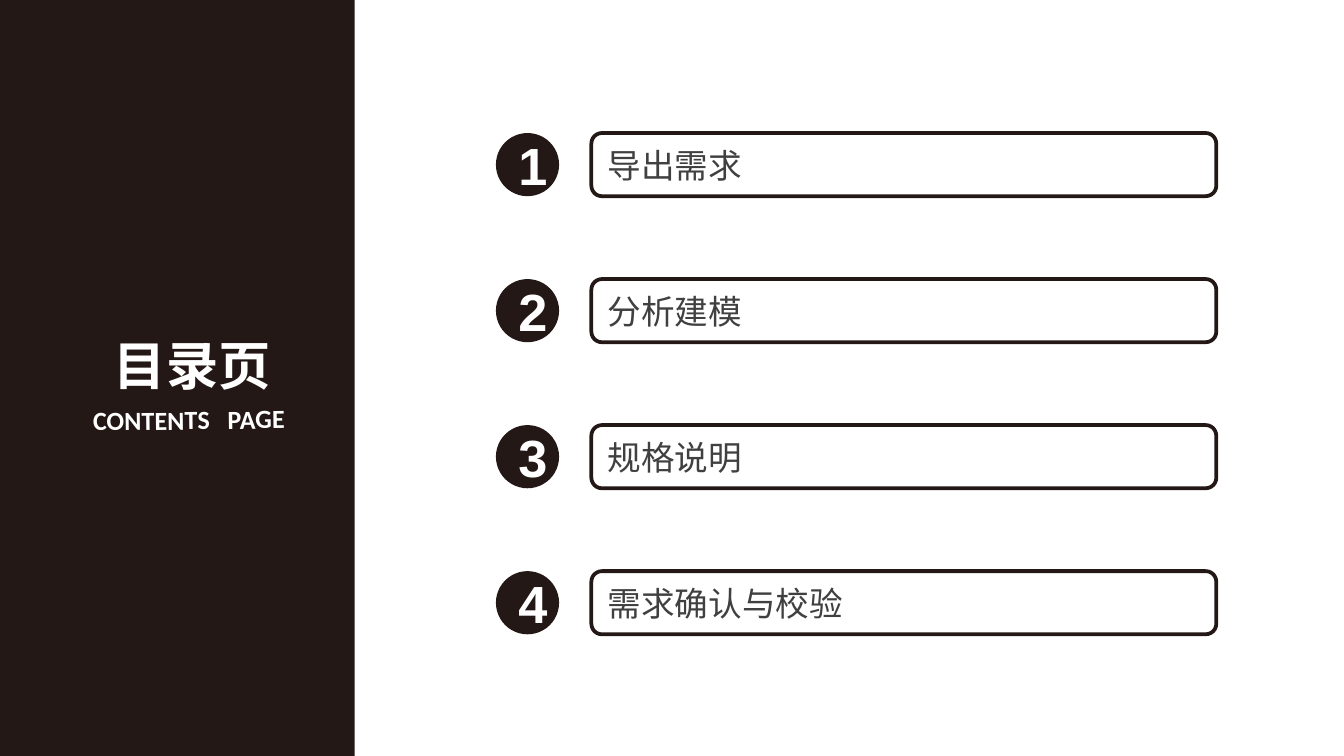
from lxml.etree import SubElement
from pptx import Presentation
from pptx.dml.color import RGBColor
from pptx.enum.shapes import MSO_SHAPE as Shape
from pptx.enum.text import MSO_ANCHOR as Anchor, MSO_AUTO_SIZE as AutoSize, PP_ALIGN as Align
from pptx.oxml.ns import qn
from pptx.util import Inches, Pt

COLORS = {"dark": "231815", "white": "FFFFFF", "gray": "404040"}
CJK_FONT = "Noto Sans CJK SC"
TOPICS = ["导出需求", "分析建模", "规格说明", "需求确认与校验"]

SLIDE_WIDTH = 10
SLIDE_HEIGHT = SLIDE_WIDTH * 9 / 16
FIRST_TOP, LAST_TOP = 0.99, 4.25
ROW_HEIGHT = 0.47


def color(name):
    return RGBColor.from_string(COLORS[name])


def set_text(shape, text, size, font="Calibri", fill="white", bold=False,
             align=Align.CENTER, anchor=Anchor.MIDDLE, wrap=True, word_gap=0):
    """Write one paragraph; word_gap widens each space by that many points."""
    frame = shape.text_frame
    frame.word_wrap = wrap
    frame.vertical_anchor = anchor
    paragraph = frame.paragraphs[0]
    paragraph.alignment = align
    pieces = text.replace(" ", "| |").split("|")
    for piece in pieces:
        run = paragraph.add_run()
        run.text = piece
        run.font.size = Pt(size)
        run.font.name = font
        run.font.bold = bold
        run.font.color.rgb = color(fill)
        properties = run._r.get_or_add_rPr()
        SubElement(properties, qn("a:ea")).set("typeface", CJK_FONT)
        if piece == " " and word_gap:
            properties.set("spc", str(round(word_gap * 100)))


def add_box(slide, kind, left, top, width, height, fill=None, line=None):
    shape = slide.shapes.add_shape(
        kind, Inches(left), Inches(top), Inches(width), Inches(height))
    shape.shadow.inherit = False
    if fill:
        shape.fill.solid()
        shape.fill.fore_color.rgb = color(fill)
    else:
        shape.fill.background()
    if line:
        shape.line.color.rgb = color(line)
        shape.line.width = Pt(2)
    else:
        shape.line.fill.background()
    return shape


def add_label(slide, text, left, top, width, height, **text_format):
    label = slide.shapes.add_textbox(
        Inches(left), Inches(top), Inches(width), Inches(height))
    set_text(label, text, bold=True, **text_format)
    return label


def add_topic(slide, number, topic, top):
    circle = add_box(slide, Shape.OVAL, 3.69, top, ROW_HEIGHT, ROW_HEIGHT, fill="dark")
    set_text(circle, str(number), 28, font="Arial", bold=True)
    frame = add_box(slide, Shape.ROUNDED_RECTANGLE, 4.4, top, 4.65, ROW_HEIGHT, line="dark")
    set_text(frame, topic, 18, fill="gray", align=Align.LEFT)


def main():
    presentation = Presentation()
    presentation.slide_width = Inches(SLIDE_WIDTH)
    presentation.slide_height = Inches(SLIDE_HEIGHT)
    slide = presentation.slides.add_slide(presentation.slide_layouts[6])

    # Side panel with the page title
    add_box(slide, Shape.RECTANGLE, 0, 0, 2.64, SLIDE_HEIGHT, fill="dark")
    title = add_label(slide, "目录页", 0.74, 2.43, 1.38, 0.57, size=28,
                      font=CJK_FONT, anchor=Anchor.TOP, wrap=False)
    title.text_frame.auto_size = AutoSize.SHAPE_TO_FIT_TEXT
    subtitle = add_label(slide, "CONTENTS PAGE", 0.18, 2.92, 2.45, 0.4,
                         size=14, word_gap=6.3)
    subtitle.rotation = 359.3

    # Numbered topics, evenly spaced
    pitch = (LAST_TOP - FIRST_TOP) / (len(TOPICS) - 1)
    for index, topic in enumerate(TOPICS):
        add_topic(slide, index + 1, topic, FIRST_TOP + index * pitch)

    presentation.save("out.pptx")


if __name__ == "__main__":
    main()
